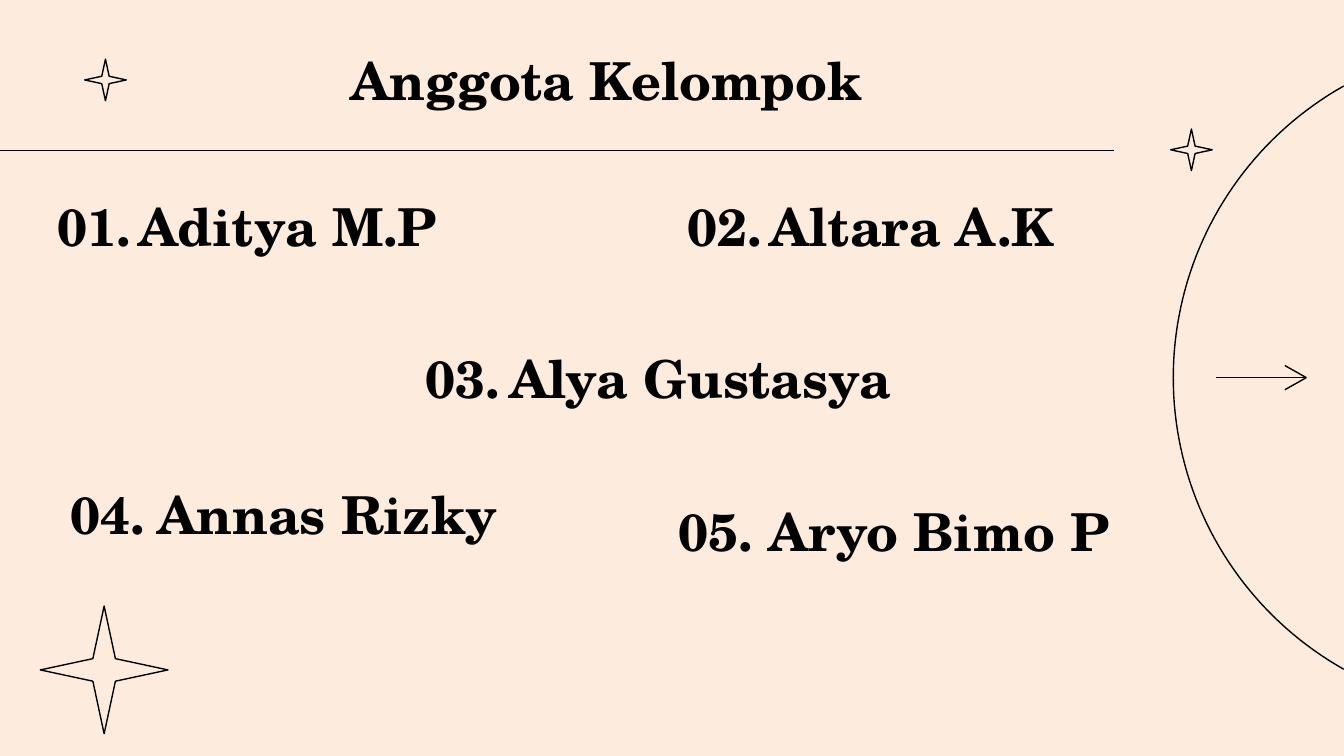
from math import asin, cos, sin

from lxml.etree import SubElement
from pptx import Presentation
from pptx.dml.color import RGBColor
from pptx.enum.shapes import MSO_CONNECTOR, MSO_SHAPE
from pptx.enum.text import MSO_ANCHOR, PP_ALIGN as ALIGN
from pptx.oxml.ns import qn
from pptx.util import Inches, Pt

BLACK = RGBColor(0x00, 0x00, 0x00)
CREAM = RGBColor(0xFD, 0xEC, 0xDD)
FONT = "TeX Gyre Schola"

deck = Presentation()
deck.slide_width = Inches(10)
deck.slide_height = deck.slide_width * 9 // 16
slide = deck.slides.add_slide(deck.slide_layouts[6])
slide.background.fill.solid()
slide.background.fill.fore_color.rgb = CREAM

# All lengths below are percentages of the slide's width
PERCENT = deck.slide_width / 100
MIDDLE = 28.1
ROW_HEIGHT = 5.8


def share(*lengths):
    return [round(length * PERCENT) for length in lengths]


def add_text(words, left, top, width, align):
    box = slide.shapes.add_textbox(*share(left, top, width, ROW_HEIGHT))
    frame = box.text_frame
    frame.word_wrap = True
    frame.vertical_anchor = MSO_ANCHOR.MIDDLE
    frame.margin_left = frame.margin_right = Inches(0.1)
    frame.margin_top = frame.margin_bottom = Inches(0.1)
    line = frame.paragraphs[0]
    line.text = words
    line.alignment = align
    line.font.name = FONT
    line.font.size = Pt(28)
    line.font.bold = True
    line.font.color.rgb = BLACK


# Large circle running off the right edge
radius, half_chord = 24.9, 21.7
center_x = 87.3 + radius
sweep = asin(half_chord / radius)
STEPS = 80
angles = [sweep * (2 * step / STEPS - 1) for step in range(STEPS + 1)]
points = [share(center_x - radius * cos(a), MIDDLE + radius * sin(a)) for a in angles]
builder = slide.shapes.build_freeform(*points[0])
builder.add_line_segments(points[1:], close=False)
outlines = [builder.convert_to_shape()]

# Four-pointed stars
for left, top, size in [(3, 45.1, 9.5), (6.3, 4.4, 3.1), (87.1, 9.6, 3.1)]:
    star = slide.shapes.add_shape(MSO_SHAPE.STAR_4_POINT, *share(left, top, size, size))
    star.adjustments[0] = 0.125
    outlines.append(star)

for outline in outlines:
    outline.shadow.inherit = False
    outline.fill.background()
    outline.line.color.rgb = BLACK
    outline.line.width = Pt(0.75)

# Rule under the title, then the arrow's shaft and two barbs
tip = (97.2, MIDDLE)
strokes = [((82.9, 11.2), (0, 11.2)), ((90.5, MIDDLE), tip)]
strokes += [((95.6, MIDDLE + rise), tip) for rise in (-0.9, 0.9)]
for start, end in strokes:
    stroke = slide.shapes.add_connector(MSO_CONNECTOR.STRAIGHT, *share(*start, *end))
    stroke.line.color.rgb = BLACK
    stroke.line.width = Pt(0.75)
    SubElement(stroke._element.spPr, qn("a:effectLst"))

# Title
add_text("Anggota Kelompok", 22.5, 3, 45.2, ALIGN.CENTER)

# Numbered members: name, top, left of number, left and width of name
members = [
    ("Aditya M.P", 13.9, 1.9, 9.3, 28.9),
    ("Altara A.K", 13.9, 48.9, 56.3, 28.9),
    ("Alya Gustasya", 25.2, 29.4, 36.9, 34.3),
    ("Annas Rizky", 35.3, 3, 10.7, 28.9),
    ("Aryo Bimo P", 36.6, 48.2, 56.2, 34.3),
]
for number, (member, top, number_left, name_left, name_width) in enumerate(members, 1):
    add_text(f"{number:02}.", number_left, top, 8.8, ALIGN.RIGHT)
    add_text(member, name_left, top, name_width, ALIGN.LEFT)

deck.save("out.pptx")
